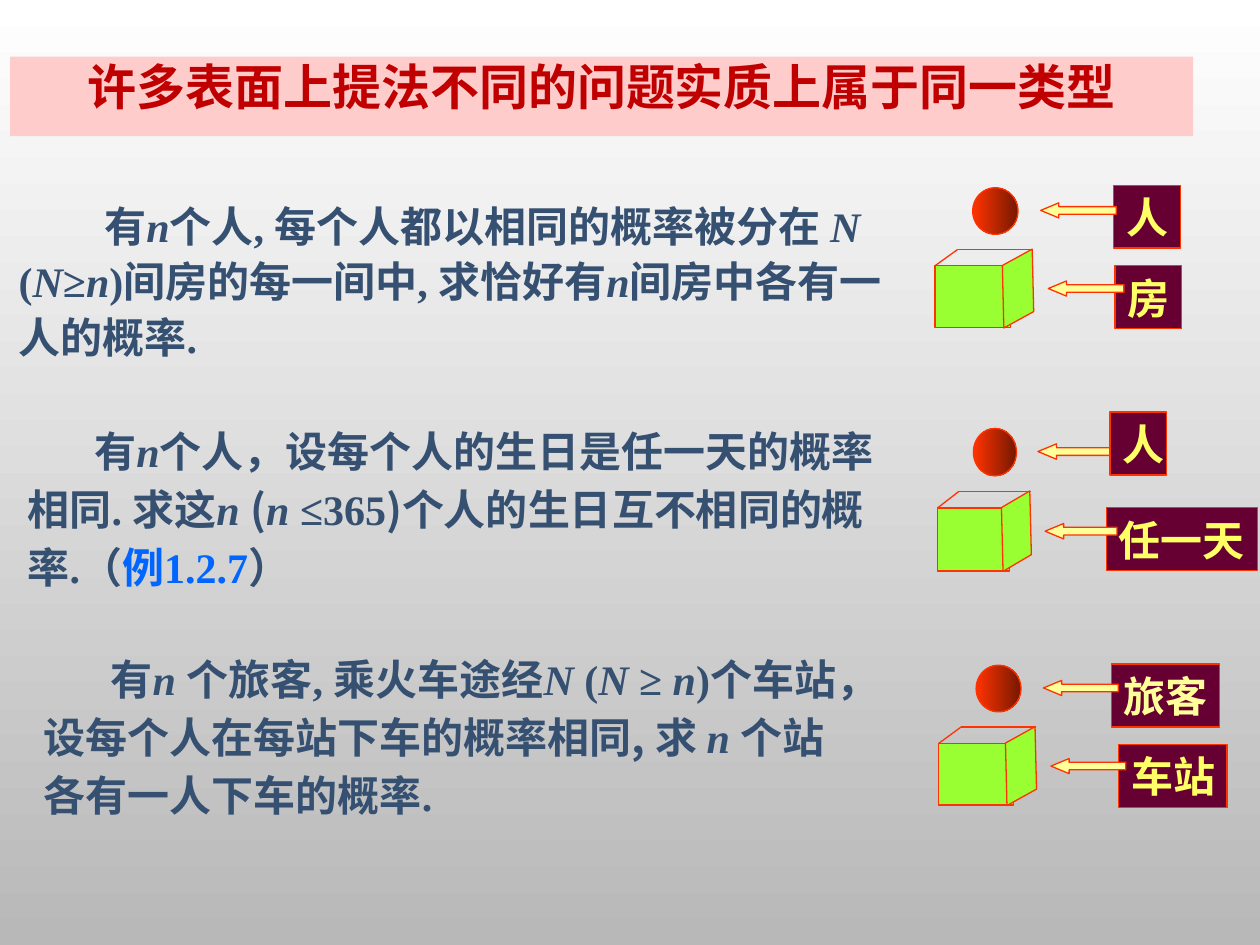
import pptx
import pptx.util
import pptx.dml.color
import pptx.enum.shapes
import pptx.enum.text
import pptx.oxml.xmlchemy

MSO = pptx.enum.shapes.MSO_SHAPE
ALIGN = pptx.enum.text.PP_ALIGN
ANCHOR = pptx.enum.text.MSO_ANCHOR
Pt = pptx.util.Pt
C = {"text": "355071", "link": "0066FF", "title": "C00000", "band": "FFCCCC",
     "red": "FF3300", "dark": "761800", "green": "99FF33", "plum": "660033",
     "yellow": "FFFF66", "cream": "FFFF99", "white": "FFFFFF", "grey": "B8B8B8"}
RGB = {k: pptx.dml.color.RGBColor.from_string(v) for k, v in C.items()}

prs = pptx.Presentation()
prs.slide_width, prs.slide_height = pptx.util.Inches(10), pptx.util.Inches(7.5)
col, row = prs.slide_width / 100, prs.slide_height / 75
s = prs.slides.add_slide(prs.slide_layouts[5])
TEXT = {"size": Pt(24), "bold": True, "name": "Times New Roman"}


def write(p, text, color, fmt):
    r = p.add_run()
    r.text = text
    for k, v in fmt.items():
        setattr(r.font, k, v)
    r.font.color.rgb = RGB[color]


def shape(kind, x, y, w, h, fill):
    sp = s.shapes.add_shape(kind, int(x * col), int(y * row), int(w * col), int(h * row))
    sp.shadow.inherit = False
    if fill == "ball":
        sp.fill.gradient()
        sp.fill.gradient_angle = 0
        for stop, c in zip(sp.fill.gradient_stops, ("red", "dark")):
            stop.color.rgb = RGB[c]
    else:
        sp.fill.solid()
        sp.fill.fore_color.rgb = RGB[fill]
    sp.line.color.rgb = RGB["red"]
    sp.line.width = Pt(0.75)
    return sp


bg = s.background.fill
bg.gradient()
bg.gradient_angle = 270
for stop, c in zip(bg.gradient_stops, ("white", "grey")):
    stop.color.rgb = RGB[c]

title = s.shapes.title
box = {"left": 0.8 * col, "top": 4.5 * row, "width": 93.9 * col, "height": 6.3 * row}
for k, v in box.items():
    setattr(title, k, int(v))
title.fill.solid()
title.fill.fore_color.rgb = RGB["band"]
title.text_frame.vertical_anchor = ANCHOR.TOP
p = title.text_frame.paragraphs[0]
p.alignment, p.line_spacing = ALIGN.CENTER, 0.9
write(p, "许多表面上提法不同的问题实质上属于同一类型", "title",
      {"size": Pt(28), "bold": True, "name": "Cabin"})

STYLES = {"t": ("text", {}), "i": ("text", {"italic": True}),
          "s": ("text", {"name": "Noto Sans CJK SC"}), "b": ("link", {})}
questions = [
    (0.5, 15, 72, 14.2, 6.8, 1.1, [
        ("t", "有"), ("i", "n"), ("t", "个人, 每个人都以相同的概率被分在 "), ("i", "N "),
        ("t", "("), ("i", "N"), ("t", "≥"), ("i", "n"), ("t", ")间房的每一间中, 求恰好有"),
        ("i", "n"), ("t", "间房中各有一人的概率.")]),
    (1.2, 32.7, 70.1, 14.8, 5.3, 1.15, [
        ("t", "有"), ("i", "n"), ("t", "个人，设每个人的生日是任一天的概率相同. 求这"),
        ("i", "n "), ("s", "("), ("i", "n"), ("t", " ≤365"), ("s", ")"),
        ("t", "个人的生日互不相同的概率.（"), ("b", "例1.2.7"), ("t", "）")]),
    (2.5, 50.8, 66.9, 15.1, 5.3, 1.15, [
        ("t", "有"), ("i", "n "), ("t", "个旅客, 乘火车途经"), ("i", "N "), ("t", "("),
        ("i", "N"), ("t", " ≥ "), ("i", "n"), ("t", ")个车站，设每个人在每站下车的概率相同"),
        ("s", ", "), ("t", "求 "), ("i", "n "), ("t", "个站各有一人下车的概率.")]),
]
for x, y, w, h, indent, spacing, runs in questions:
    tf = s.shapes.add_textbox(int(x * col), int(y * row), int(w * col), int(h * row)).text_frame
    tf.word_wrap = True
    p = tf.paragraphs[0]
    p.line_spacing = spacing
    p._p.get_or_add_pPr().set("indent", str(int(indent * col)))
    for style, text in runs:
        color, extra = STYLES[style]
        write(p, text, color, {**TEXT, **extra})

models = [
    (74.2, 14.9, 1, 1, [("人", 88.4, 14.7, 5.3, "yellow"), ("房", 88.5, 21.1, 5.3, "yellow")]),
    (74.4, 34, 0.95, 1.02, [("人", 88.1, 32.7, 4.5, "yellow"), ("任一天", 87.8, 40.3, 12, "yellow")]),
    (74.5, 52.8, 0.99, 1, [("旅客", 88.2, 52.7, 8.6, "cream"), ("车站", 88.8, 59.1, 8.6, "yellow")]),
]
edges = [(0, 6.2, 1.8, 4.9), (1.8, 4.9, 7.8, 4.9), (1.8, 4.9, 7.2, 4.9)]
for x, y, sx, sy, labels in models:
    shape(MSO.OVAL, x + 3 * sx, y, 3.6 * sx, 3.7 * sy, "ball")
    shape(MSO.RECTANGLE, x, y + 6.2 * sy, 6 * sx, 4.9 * sy, "green")
    for x1, y1, x2, y2 in edges:
        cn = s.shapes.add_connector(
            pptx.enum.shapes.MSO_CONNECTOR.STRAIGHT,
            int((x + x1 * sx) * col), int((y + y1 * sy) * row),
            int((x + x2 * sx) * col), int((y + y2 * sy) * row))
        cn.line.color.rgb = RGB["red"]
        cn.line.width = Pt(0.75)
        cn._element.spPr.append(pptx.oxml.xmlchemy.OxmlElement("a:effectLst"))
    w, h = 6.2 * sy, 2.4 * sx
    side = shape(MSO.FLOWCHART_DATA, x + 6.6 * sx - w / 2, y + 8 * sy - h / 2, w, h, "green")
    side.rotation = 88.6
    side._element.spPr.xfrm.set("flipV", "1")
    for text, lx, ly, lw, color in labels:
        tf = shape(MSO.RECTANGLE, lx, ly, lw, 5, "plum").text_frame
        tf.word_wrap = False
        p = tf.paragraphs[0]
        p.alignment = ALIGN.LEFT
        write(p, text, color, TEXT)
    for dx, dy in ((8.4, 1.2), (9, 7.4)):
        arrow = shape(MSO.LEFT_ARROW, x + dx * sx, y + dy * sy, 6 * sx, 1.2 * sy, "cream")
        arrow.adjustments[1] = 1.2

prs.save("out.pptx")
